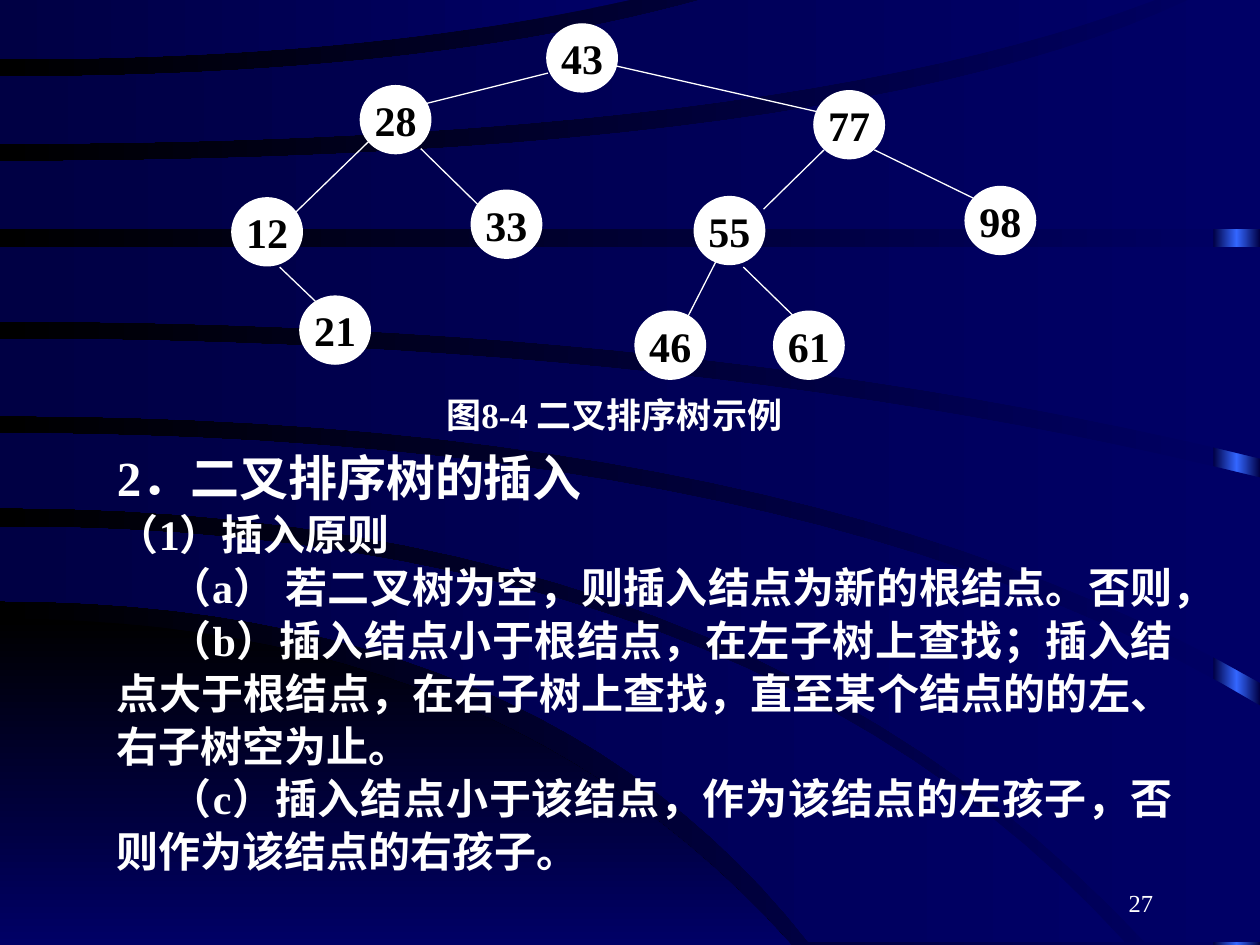
from copy import deepcopy
from pptx import Presentation
from pptx.dml.color import RGBColor
from pptx.enum.shapes import MSO_CONNECTOR, MSO_SHAPE
from pptx.enum.text import MSO_ANCHOR, MSO_AUTO_SIZE, PP_ALIGN
from pptx.oxml.ns import qn
from pptx.util import Inches, Pt
from lxml.etree import SubElement

WHITE = RGBColor(0xFF, 0xFF, 0xFF)
BLACK = RGBColor(0x00, 0x00, 0x00)
NAVY = RGBColor(0x00, 0x00, 0x66)
DEEP = RGBColor(0x00, 0x00, 0x44)
BRIGHT = RGBColor(0x33, 0x66, 0xFF)
SERIF = "Times New Roman"
SANS = "Noto Sans CJK SC"
STEPS = 24


def set_gradient(fill, first, last, angle):
    fill.gradient()
    fill.gradient_angle = angle
    for stop, color in zip(fill.gradient_stops, (first, last)):
        stop.color.rgb = color


def add_run(p, text, size, color=WHITE, bold=True, font=SERIF):
    r = p.add_run()
    r.text = text
    r.font.size = Pt(size)
    r.font.bold = bold
    r.font.name = font
    r.font.color.rgb = color
    SubElement(r._r.get_or_add_rPr(), qn("a:ea"), typeface=SANS)


prs = Presentation()
prs.slide_width = Inches(10)
prs.slide_height = Inches(7.5)
slide = prs.slides.add_slide(prs.slide_layouts[6])
set_gradient(slide.background.fill, NAVY, BLACK, 180)

s = slide.shapes.add_shape(MSO_SHAPE.RECTANGLE, Inches(9.63), 0, Inches(0.37), Inches(7.5))
s.shadow.inherit = False
s.line.fill.background()
set_gradient(s.fill, DEEP, DEEP, 180)
stops = s._element.spPr.find(qn("a:gradFill")).find(qn("a:gsLst"))
middle = deepcopy(stops[0])
middle.set("pos", "50000")
stops.insert(1, middle)
s.fill.gradient_stops[1].color.rgb = BRIGHT

ribbon_look = (NAVY, DEEP, 180)
ribbons = [
    ((4.91, 3.97, 6.28, 7.5), (7.5, 3, 6.28, 7.5), [], (BLACK, NAVY, 270)),
    ((4.18, 5.93, 8.93, 7.48), (4.77, 4.3, 6.42, 7.48), [], ribbon_look),
    ((3.44, 6.4, 10, 5.6), (4.03, 5.88, 9.09, 7.48), [(10, 7.48)], ribbon_look),
    ((2.69, 5.54, 10, 3.79), (3.3, 6.3, 10, 5.42), [], ribbon_look),
    ((1.96, 5, 10, 1.96), (2.55, 5.6, 10, 3.64), [], ribbon_look),
    ((1.28, 6.72, 9.43, 0), (1.82, 5, 10, 1.82), [(10, 0)], ribbon_look),
    ((0.61, 3.36, 5.56, 0), (1.14, 6.16, 9.17, 0), [], ribbon_look),
    ((0, 2.5, 5, 0), (0.47, 2.9, 5, 0), [], ribbon_look),
]
for upper, lower, corner, look in ribbons:
    curves = []
    for left_y, bend_x, end_x, end_y in (upper, lower):
        ts = [i / STEPS for i in range(STEPS + 1)]
        curves.append([(2 * t * (1 - t) * bend_x + t * t * end_x,
                        (1 - t * t) * left_y + t * t * end_y) for t in ts])
    outline = curves[0] + corner + curves[1][::-1]
    points = [(Inches(x), Inches(y)) for x, y in outline]
    builder = slide.shapes.build_freeform(*points[0])
    builder.add_line_segments(points[1:], close=True)
    s = builder.convert_to_shape()
    s.shadow.inherit = False
    s.line.fill.background()
    set_gradient(s.fill, *look)

tb = slide.shapes.add_textbox(Inches(0.83), Inches(3.5), Inches(8.58), Inches(3.93))
tf = tb.text_frame
tf.word_wrap = True
tf.auto_size = MSO_AUTO_SIZE.SHAPE_TO_FIT_TEXT
p = tf.paragraphs[0]
p.alignment = PP_ALIGN.JUSTIFY
p.space_before = Pt(17.5)
add_run(p, "2．二叉排序树的插入", 28)
for text, indent in [
        ("（1）插入原则", 0),
        ("（a） 若二叉树为空，则插入结点为新的根结点。否则，", 0.42),
        ("（b）插入结点小于根结点，在左子树上查找；插入结点大于根结点，"
         "在右子树上查找，直至某个结点的的左、右子树空为止。", 0.42),
        ("（c）插入结点小于该结点，作为该结点的左孩子，否则作为该结点的右孩子。", 0.42)]:
    p = tf.add_paragraph()
    p.alignment = PP_ALIGN.JUSTIFY
    p.line_spacing = 1.05
    p._p.get_or_add_pPr().set("indent", str(Inches(indent)))
    add_run(p, text, 24)

nodes = [(43, 4.34, 0.19), (21, 2.38, 2.35), (61, 6.14, 2.47), (46, 5.04, 2.47),
         (55, 5.51, 1.56), (98, 7.66, 1.48), (33, 3.74, 1.51), (12, 1.84, 1.57),
         (77, 6.46, 0.72), (28, 2.86, 0.68)]
for key, x, y in nodes:
    s = slide.shapes.add_shape(MSO_SHAPE.OVAL, Inches(x), Inches(y), Inches(0.56), Inches(0.54))
    s.shadow.inherit = False
    s.fill.solid()
    s.fill.fore_color.rgb = WHITE
    s.line.color.rgb = WHITE
    s.line.width = Pt(0.75)
    tf = s.text_frame
    tf.word_wrap = False
    tf.vertical_anchor = MSO_ANCHOR.MIDDLE
    p = tf.paragraphs[0]
    p.alignment = PP_ALIGN.CENTER
    add_run(p, str(key), 24, BLACK)

edges = [(2.94, 1.11, 2.3, 1.73), (3.34, 1.18, 3.82, 1.65), (2.22, 2.12, 2.7, 2.58),
         (6.54, 1.19, 6.06, 1.66), (5.9, 2.12, 6.3, 2.51), (6.94, 1.19, 7.74, 1.58),
         (5.68, 2.08, 5.44, 2.55), (4.35, 0.58, 3.39, 0.82), (4.83, 0.51, 6.5, 0.89)]
for edge in edges:
    c = slide.shapes.add_connector(MSO_CONNECTOR.STRAIGHT, *[Inches(v) for v in edge])
    c.line.color.rgb = WHITE
    c.line.width = Pt(0.75)
    SubElement(c._element.spPr, qn("a:effectLst"))

tb = slide.shapes.add_textbox(Inches(2.67), Inches(3.07), Inches(4.17), Inches(0.44))
tf = tb.text_frame
tf.word_wrap = True
tf.auto_size = MSO_AUTO_SIZE.SHAPE_TO_FIT_TEXT
p = tf.paragraphs[0]
p.alignment = PP_ALIGN.CENTER
p.space_before = Pt(12.5)
p._p.get_or_add_pPr().set("marL", str(Inches(0.24)))
for text, font in [("图", SANS), ("8-4 ", SERIF), ("二叉排序树示例", SANS)]:
    add_run(p, text, 20, font=font)

tb = slide.shapes.add_textbox(Inches(7.17), Inches(6.83), Inches(2.08), Inches(0.5))
tf = tb.text_frame
tf.word_wrap = True
tf.vertical_anchor = MSO_ANCHOR.BOTTOM
p = tf.paragraphs[0]
p.alignment = PP_ALIGN.RIGHT
add_run(p, "27", 14, bold=False)

prs.save("out.pptx")
